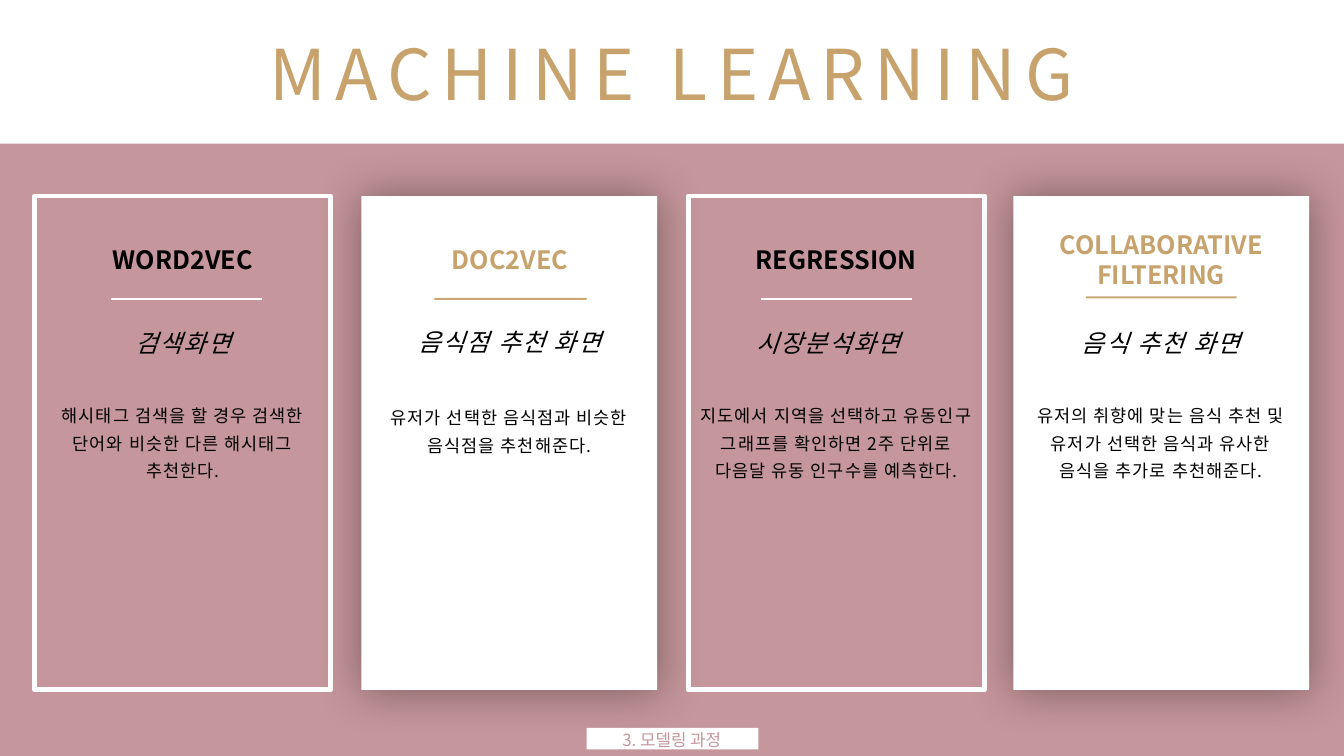
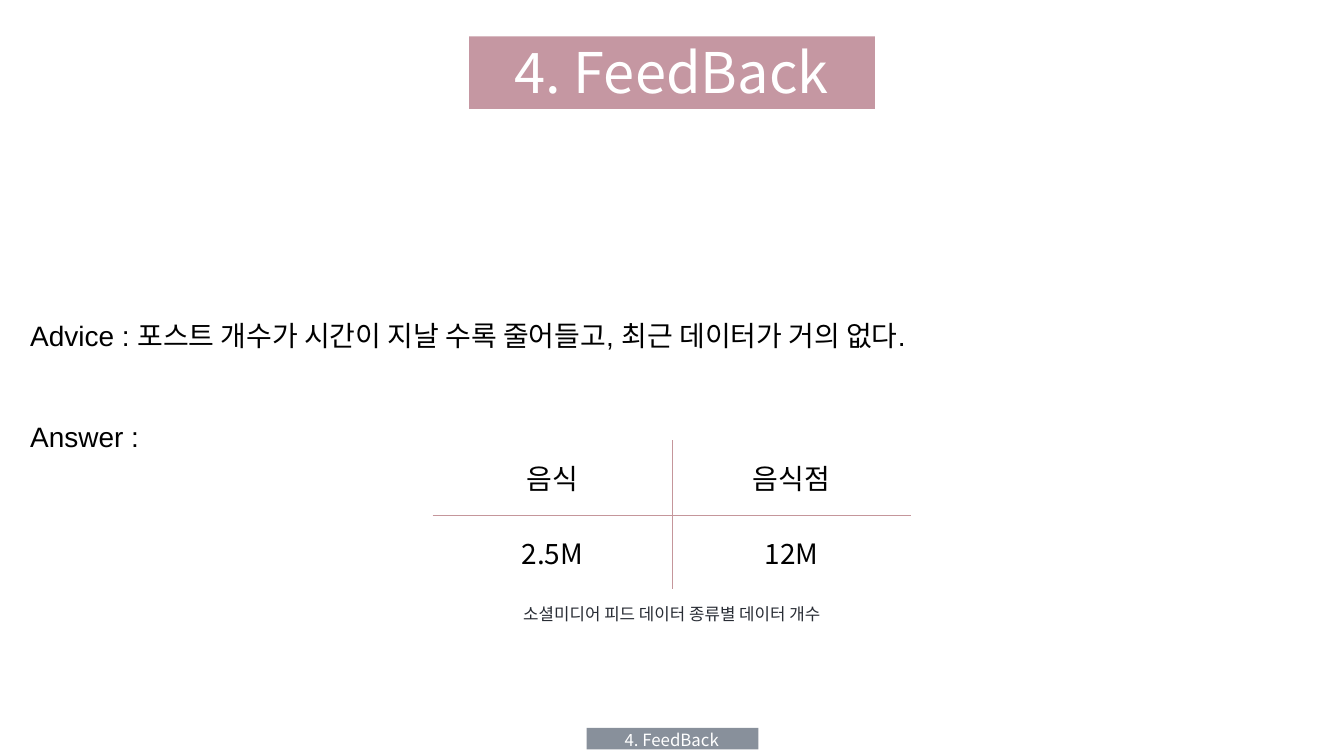
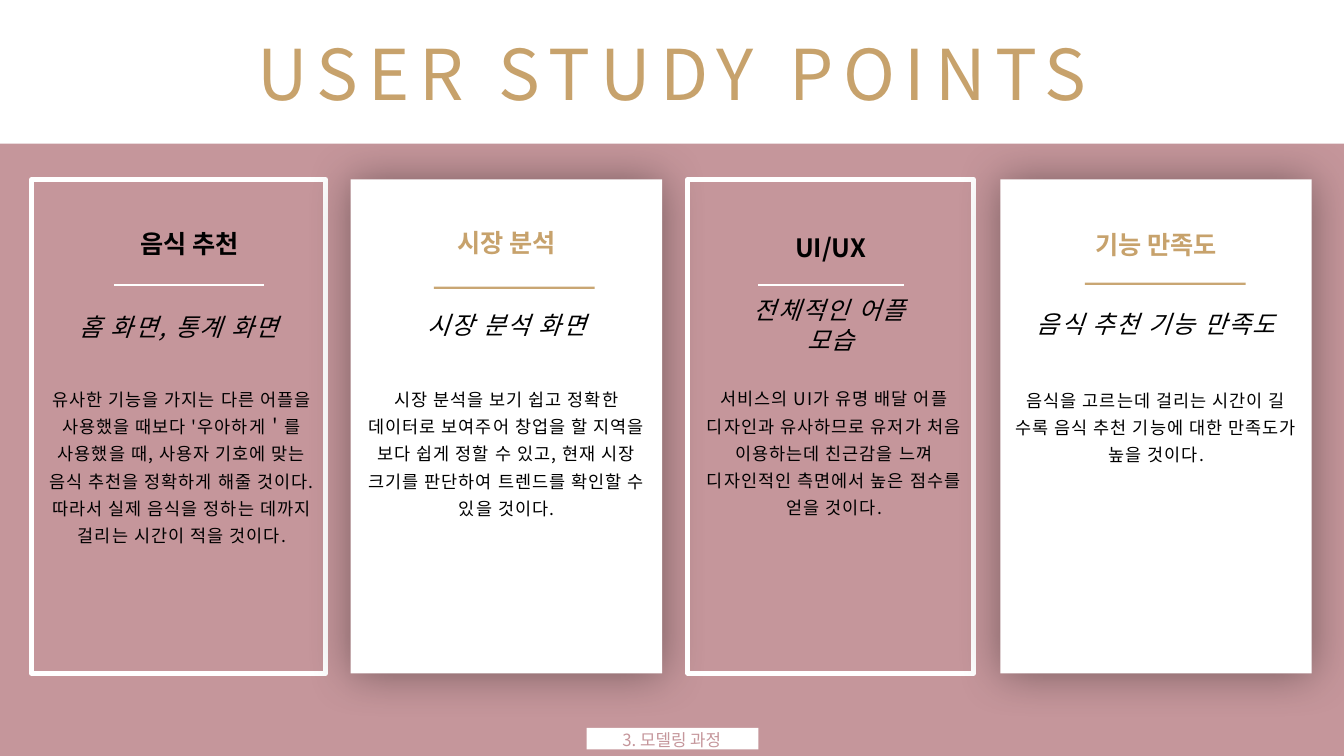
from pptx import Presentation
from pptx.dml.color import RGBColor
from pptx.enum.shapes import MSO_CONNECTOR, MSO_SHAPE
from pptx.enum.text import MSO_ANCHOR, MSO_AUTO_SIZE, PP_ALIGN
from pptx.oxml.ns import qn
from pptx.util import Inches, Pt
from lxml.etree import SubElement

# Shared look
SANS, ARIAL = "Noto Sans CJK KR", "Arial"
ROSE, GOLD, WHITE, BLACK = "C5969B", "C7A26C", "FFFFFF", "000000"
BADGE_ROSE, SLATE, INK = "C597A2", "88909B", "282C34"
CARD_H, TITLE_H, BODY_H = 9.8, 0.78, 2.87
TIGHT, NORMAL = (0.08, 0.08), (0.1, 0.05)

# Card slides: boxes are (left, top, width), rules are (left, right, y);
# cards alternate between framed and filled
CARD_SLIDES = {
    "MACHINE LEARNING": dict(title_box=(4.81, 17.05), top=3.89, cards=[
        dict(card=(0.69, 5.87), title=(1.24, 4.76, 4.78), rule=(2.2, 5.19, 5.93),
             screen=(2.15, 6.42, 2.96), body=(0.85, 7.84, 5.56),
             text=(["WORD2VEC"], "검색화면",
                   "해시태그 검색을 할 경우 검색한 단어와 비슷한 다른 해시태그 추천한다.")),
        dict(card=(7.17, 5.87), title=(7.73, 4.76, 4.78), rule=(8.62, 11.64, 5.93),
             screen=(7.33, 6.42, 5.56), body=(7.33, 7.88, 5.56),
             text=(["DOC2VEC"], "음식점 추천 화면",
                   "유저가 선택한 음식점과 비슷한 음식점을 추천해준다.")),
        dict(card=(13.66, 5.87), title=(14.38, 4.76, 4.43), rule=(15.1, 18.09, 5.93),
             screen=(14.6, 6.42, 3.68), body=(13.82, 7.84, 5.56),
             text=(["REGRESSION"], "시장분석화면",
                   "지도에서 지역을 선택하고 유동인구 그래프를 확인하면 2주 단위로 "
                   "다음달 유동 인구수를 예측한다.")),
        dict(card=(20.11, 5.87), title=(20.65, 4.76, 4.78), rule=(21.55, 24.54, 5.9),
             screen=(20.26, 6.43, 5.56), body=(20.26, 7.84, 5.56),
             text=(["COLLABORATIVE", "FILTERING"], "음식 추천 화면",
                   "유저의 취향에 맞는 음식 추천 및 유저가 선택한 음식과 유사한 "
                   "음식을 추가로 추천해준다.")),
    ]),
    "USER STUDY POINTS": dict(title_box=(4.49, 17.69), top=3.56, cards=[
        dict(card=(0.63, 5.83), title=(1.39, 4.43, 4.74), rule=(2.27, 5.24, 5.66),
             screen=(1.44, 6.11, 4.21), body=(0.85, 7.51, 5.52),
             text=(["음식 추천"], "홈 화면, 통계 화면",
                   "유사한 기능을 가지는 다른 어플을 사용했을 때보다 '우아하게＇를 "
                   "사용했을 때, 사용자 기호에 맞는 음식 추천을 정확하게 해줄 것이다. "
                   "따라서 실제 음식을 정하는 데까지 걸리는 시간이 적을 것이다.")),
        dict(card=(6.96, 6.18), title=(7.54, 4.42, 5.03), rule=(8.61, 11.8, 5.71),
             screen=(7.13, 6.07, 5.85), body=(7.13, 7.51, 5.85),
             text=(["시장 분석"], "시장 분석 화면",
                   "시장 분석을 보기 쉽고 정확한 데이터로 보여주어 창업을 할 지역을 "
                   "보다 쉽게 정할 수 있고, 현재 시장 크기를 판단하여 트렌드를 "
                   "확인할 수 있을 것이다.")),
        dict(card=(13.65, 5.67), title=(14.18, 4.51, 4.61), rule=(15.04, 17.93, 5.66),
             screen=(14.42, 6.07, 4.12), body=(13.8, 7.5, 5.51),
             text=(["UI/UX"], "전체적인 어플 모습",
                   "서비스의 UI가 유명 배달 어플 디자인과 유사하므로 유저가 처음 "
                   "이용하는데 친근감을 느껴 디자인적인 측면에서 높은 점수를 "
                   "얻을 것이다.")),
        dict(card=(19.85, 6.18), title=(20.43, 4.45, 5.03), rule=(21.53, 24.72, 5.63),
             screen=(20.02, 6.05, 5.85), body=(20.02, 7.53, 5.85),
             text=(["기능 만족도"], "음식 추천 기능 만족도",
                   "음식을 고르는데 걸리는 시간이 길 수록 음식 추천 기능에 대한 "
                   "만족도가 높을 것이다.")),
    ]),
}
CARD_FOOTER = "3. 모델링 과정"

# Feedback slide
FEEDBACK = "4. FeedBack"
ADVICE = [("Advice : 포스트 개수가 시간이 지날 수록 줄어들고, 최근 데이터가 거의 없다.", 2),
          ("Answer :", 3)]
COUNTS = [("음식", "음식점"), ("2.5M", "12M")]
CAPTION = "소셜미디어 피드 데이터 종류별 데이터 개수"


def rgb(color):
    return RGBColor.from_string(color)


def add_run(p, text, size, color, font=SANS, bold=None, italic=None, spacing=0):
    r = p.add_run()
    r.text = text
    f = r.font
    f.size, f.name, f.bold, f.italic = Pt(size), font, bold, italic
    f.color.rgb = rgb(color)
    rPr = r._r.get_or_add_rPr()
    SubElement(rPr, qn("a:ea"), typeface=SANS)
    if spacing:
        rPr.set("spc", str(int(spacing * 100)))


def add_text(s, box, lines, size, color, align=PP_ALIGN.CENTER, middle=False,
             inset=NORMAL, grow=False, wrap=True, **style):
    """Each line is a string or a (string, line spacing) pair."""
    tf = s.shapes.add_textbox(*map(Inches, box)).text_frame
    tf.word_wrap = wrap
    tf.auto_size = MSO_AUTO_SIZE.SHAPE_TO_FIT_TEXT if grow else MSO_AUTO_SIZE.NONE
    tf.vertical_anchor = MSO_ANCHOR.MIDDLE if middle else MSO_ANCHOR.TOP
    tf.margin_left = tf.margin_right = Inches(inset[0])
    tf.margin_top = tf.margin_bottom = Inches(inset[1])
    for i, line in enumerate(lines):
        text, leading = (line, None) if isinstance(line, str) else line
        p = tf.add_paragraph() if i else tf.paragraphs[0]
        p.alignment, p.line_spacing = align, leading
        add_run(p, text, size, color, **style)


def add_rect(s, box, fill=None, outline=None, glow=False):
    sp = s.shapes.add_shape(MSO_SHAPE.RECTANGLE, *map(Inches, box))
    sp.shadow.inherit = False
    if fill:
        sp.fill.solid()
        sp.fill.fore_color.rgb = rgb(fill)
    else:
        sp.fill.background()
    if outline:
        sp.line.color.rgb = rgb(outline)
        sp.line.width = Pt(7)
    else:
        sp.line.fill.background()
    if glow:
        effects = sp._element.spPr.find(qn("a:effectLst"))
        shadow = SubElement(effects, qn("a:outerShdw"), blurRad=str(Pt(66)),
                            dist="0", dir="0", algn="ctr", rotWithShape="0")
        tint = SubElement(shadow, qn("a:srgbClr"), val=BLACK)
        SubElement(tint, qn("a:alpha"), val="38000")


def add_rule(s, left, right, y, color, opacity=100):
    c = s.shapes.add_connector(MSO_CONNECTOR.STRAIGHT, Inches(right), Inches(y),
                               Inches(left), Inches(y))
    c.line.color.rgb = rgb(color)
    c.line.width = Pt(3)
    spPr = c._element.spPr
    if opacity < 100:
        tint = next(spPr.iter(qn("a:srgbClr")))
        SubElement(tint, qn("a:alpha"), val=str(opacity * 1000))
    SubElement(spPr, qn("a:effectLst"))


def new_slide(prs, background):
    s = prs.slides.add_slide(prs.slide_layouts[6])
    s.background.fill.solid()
    s.background.fill.fore_color.rgb = rgb(background)
    return s


def add_footer(s, text, fill, color):
    add_rect(s, (11.64, 14.44, 3.41, 0.43), fill)
    add_text(s, (11.58, 14.42, 3.5, 0.5), [text], 24, color, grow=True)


def add_card(s, top, filled, part):
    left, width = part["card"]
    names, screen, body = part["text"]
    box = (left, top, width, CARD_H)
    if filled:
        add_rect(s, box, WHITE, glow=True)
    else:
        add_rect(s, box, outline=WHITE)
    add_text(s, (*part["title"], TITLE_H), names, 36, GOLD if filled else BLACK,
             middle=True, inset=TIGHT, bold=True)
    add_rule(s, *part["rule"], GOLD if filled else WHITE, 95 if filled else 100)
    add_text(s, (*part["screen"], 0.73 if filled else 0.75), [screen], 35, BLACK,
             middle=True, inset=TIGHT, italic=True, spacing=2.5)
    add_text(s, (*part["body"], BODY_H), [(body, 1.3)], 25, BLACK,
             inset=TIGHT, spacing=1.5)


def build_cards(prs, title):
    spec_ = CARD_SLIDES[title]
    s = new_slide(prs, ROSE)
    for i, part in enumerate(spec_["cards"]):
        add_card(s, spec_["top"], i % 2 == 1, part)
    # Title band
    left, width = spec_["title_box"]
    add_rect(s, (-0.04, 0, 26.75, 2.85), WHITE)
    add_text(s, (left, 0.51, width, 1.84), [title], 100, GOLD, middle=True,
             inset=TIGHT, grow=True, wrap=False, spacing=14)
    add_footer(s, CARD_FOOTER, WHITE, ROSE)


def add_border(cell, side):
    ln = SubElement(cell._tc.get_or_add_tcPr(), qn("a:ln" + side), w=str(Pt(1)))
    SubElement(SubElement(ln, qn("a:solidFill")), qn("a:srgbClr"), val=ROSE)


def build_feedback(prs):
    s = new_slide(prs, WHITE)
    add_text(s, (0.5, 5.6, 25.7, 3.12), ADVICE, 40, BLACK, align=PP_ALIGN.LEFT,
             grow=True, font=ARIAL)
    # Title badge
    add_rect(s, (9.31, 0.72, 8.05, 1.44), BADGE_ROSE)
    add_text(s, (9.71, 0.69, 7.24, 1.45), [FEEDBACK], 80, WHITE, grow=True)
    add_footer(s, FEEDBACK, SLATE, WHITE)
    # Count table with inner borders only
    table = s.shapes.add_table(2, 2, *map(Inches, (8.59, 8.74, 9.49, 2.96))).table
    table.first_row = table.horz_banding = False
    for i, row in enumerate(COUNTS):
        for j, text in enumerate(row):
            cell = table.cell(i, j)
            add_border(cell, "L" if j else "R")
            add_border(cell, "T" if i else "B")
            cell.fill.background()
            cell.vertical_anchor = MSO_ANCHOR.MIDDLE
            p = cell.text_frame.paragraphs[0]
            p.alignment = PP_ALIGN.CENTER
            add_run(p, text, 40, BLACK)
    add_text(s, (9.95, 11.89, 6.76, 0.56), [CAPTION], 24, INK, middle=True,
             inset=TIGHT, grow=True)


def main():
    prs = Presentation()
    prs.slide_width, prs.slide_height = Inches(26.67), Inches(15)
    build_cards(prs, "MACHINE LEARNING")
    build_feedback(prs)
    build_cards(prs, "USER STUDY POINTS")
    prs.save("out.pptx")


if __name__ == "__main__":
    main()
